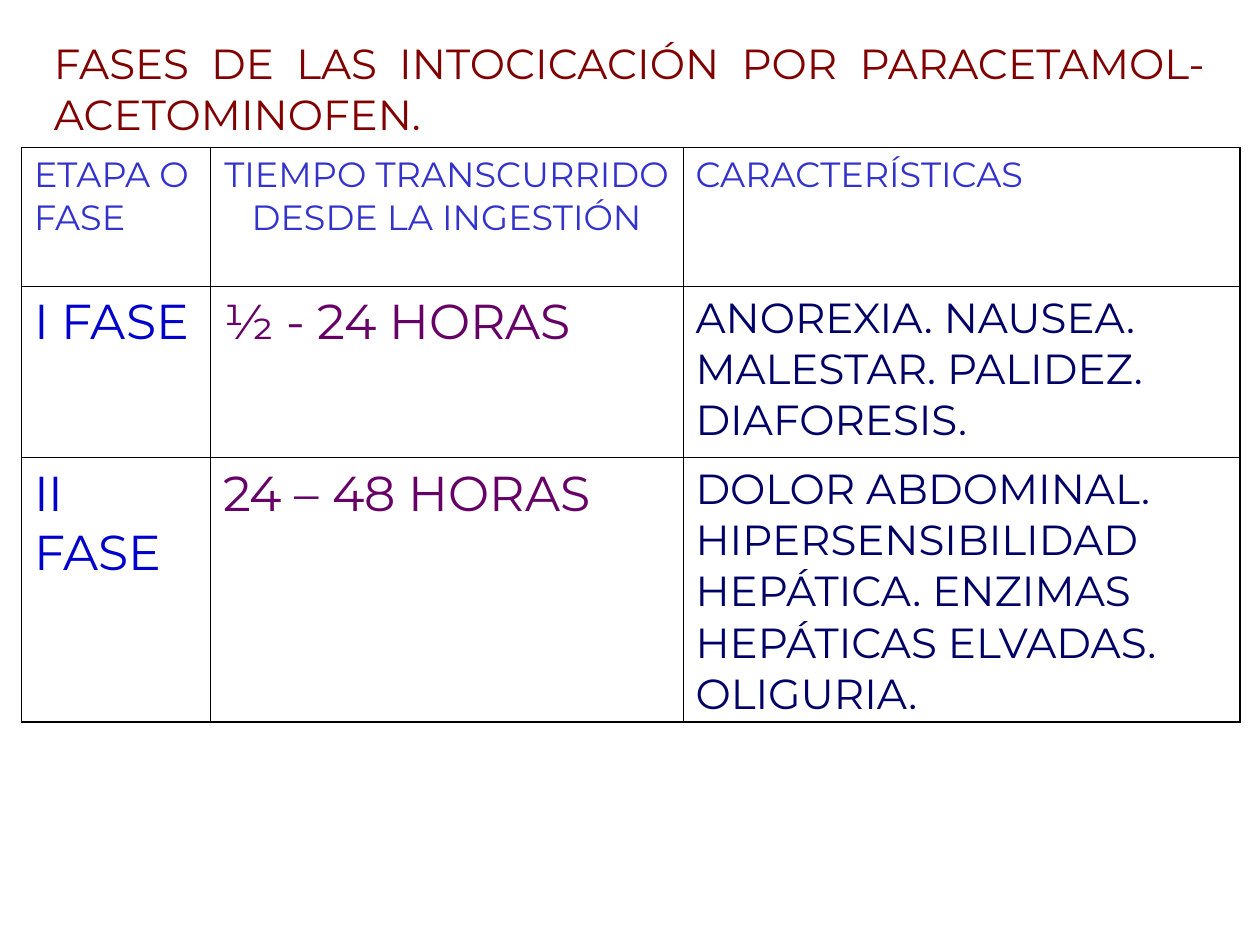
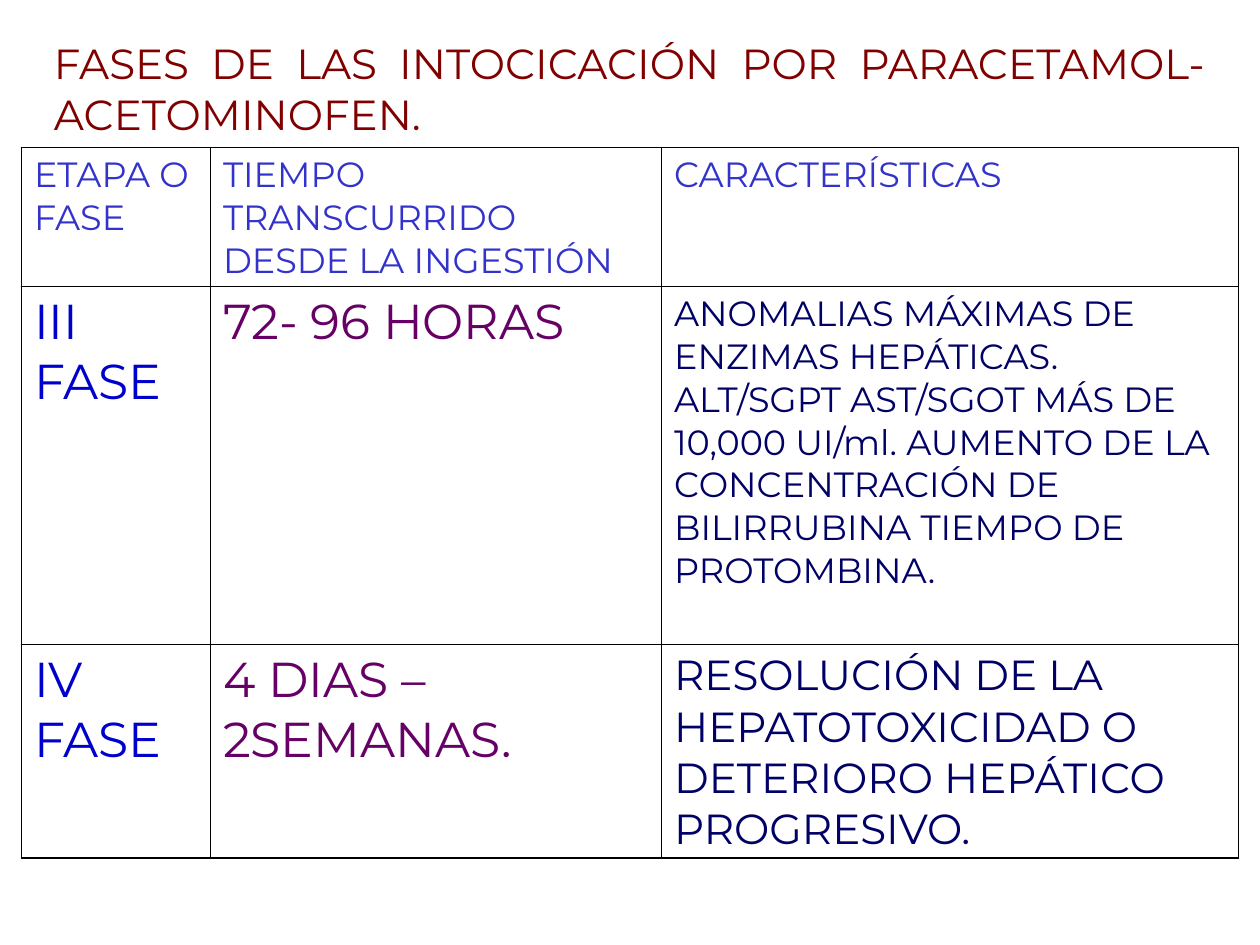
from lxml import etree
from pptx import Presentation
from pptx.dml.color import RGBColor
from pptx.enum.text import MSO_ANCHOR, PP_ALIGN
from pptx.oxml.ns import qn
from pptx.util import Inches, Pt

LEFT, CENTER, JUSTIFY = PP_ALIGN.LEFT, PP_ALIGN.CENTER, PP_ALIGN.JUSTIFY
TOP = MSO_ANCHOR.TOP

FONT = "Montserrat"
BLACK = "000000"
OUTER_WIDTH, INNER_WIDTH = 1.08, 0.45
TITLE_BOX = (0.33, 0.25, 9.33, 6.83)
TABLE_ORIGIN = (0.17, 1.17)
MARGINS = {
    "margin_left": Inches(0.1),
    "margin_right": Inches(0.1),
    "margin_top": Inches(0.05),
    "margin_bottom": Inches(0.05),
    "vertical_anchor": TOP,
}
TITLE_STYLE = {"size": 24, "color": "800000"}
HEADER_STYLE = {"size": 20, "color": "3333CC"}
COLUMN_STYLES = [
    {"size": 28, "color": "0000CC"},
    {"size": 28, "color": "660066"},
    {"size": 24, "color": "000066"},
]

TITLE = "FASES DE LAS INTOCICACIÓN POR PARACETAMOL- ACETOMINOFEN."
HEADERS = ["ETAPA O FASE", "TIEMPO TRANSCURRIDO DESDE LA INGESTIÓN", "CARACTERÍSTICAS"]
PHASE_SLIDES = [
    {
        "columns": [1.5, 3.75, 4.42],
        "heights": [1.1, 1.36, 2.1],
        "phases": [
            ["I FASE", "½ - 24 HORAS", "ANOREXIA. NAUSEA. MALESTAR. PALIDEZ. DIAFORESIS."],
            ["II FASE", "24 – 48 HORAS",
             "DOLOR ABDOMINAL. HIPERSENSIBILIDAD HEPÁTICA. ENZIMAS HEPÁTICAS ELVADAS. OLIGURIA."],
        ],
        "overrides": {(0, 1): {"align": CENTER}},
    },
    {
        "columns": [1.5, 3.58, 4.58],
        "heights": [1.08, 2.84, 1.7],
        "phases": [
            ["III FASE", "72- 96 HORAS",
             "ANOMALIAS MÁXIMAS DE ENZIMAS HEPÁTICAS. ALT/SGPT AST/SGOT MÁS DE 10,000 UI/ml. "
             "AUMENTO DE LA CONCENTRACIÓN DE BILIRRUBINA TIEMPO DE PROTOMBINA."],
            ["IV FASE", "4 DIAS –2SEMANAS.",
             "RESOLUCIÓN DE LA HEPATOTOXICIDAD O DETERIORO HEPÁTICO PROGRESIVO."],
        ],
        "overrides": {(1, 2): {"size": 20}},
    },
]


def rgb(value):
    return RGBColor.from_string(value)


def set_attributes(target, values):
    for name, value in values.items():
        setattr(target, name, value)


def write_text(text_frame, text, size, color, align=LEFT):
    paragraph = text_frame.paragraphs[0]
    paragraph.alignment = align
    run = paragraph.add_run()
    run.text = text
    set_attributes(run.font, {"name": FONT, "size": Pt(size), "bold": False})
    run.font.color.rgb = rgb(color)


def set_borders(cell, edges):
    properties = cell._tc.get_or_add_tcPr()
    for position, (side, is_outer) in enumerate(edges.items()):
        width = Pt(OUTER_WIDTH if is_outer else INNER_WIDTH)
        line = etree.Element(qn(f"a:ln{side}"), w=str(int(width)))
        fill = etree.SubElement(line, qn("a:solidFill"))
        etree.SubElement(fill, qn("a:srgbClr"), val=BLACK)
        properties.insert(position, line)


def add_title(slide, box):
    shape = slide.shapes.add_textbox(*map(Inches, box))
    set_attributes(shape.text_frame, {**MARGINS, "word_wrap": True})
    write_text(shape.text_frame, TITLE, align=JUSTIFY, **TITLE_STYLE)


def add_phase_table(slide, origin, columns, heights, phases, overrides):
    rows = [HEADERS, *phases]
    box = (*origin, sum(columns), sum(heights))
    table = slide.shapes.add_table(len(rows), len(columns), *map(Inches, box)).table
    set_attributes(table, {"first_row": False, "horz_banding": False})
    for column, width in zip(table.columns, columns):
        column.width = Inches(width)
    for row, height in zip(table.rows, heights):
        row.height = Inches(height)

    last_row, last_column = len(rows) - 1, len(columns) - 1
    for row_index, texts in enumerate(rows):
        for column_index, text in enumerate(texts):
            cell = table.cell(row_index, column_index)
            set_attributes(cell, MARGINS)
            cell.fill.background()
            style = COLUMN_STYLES[column_index] if row_index else HEADER_STYLE
            override = overrides.get((row_index, column_index), {})
            write_text(cell.text_frame, text, **{**style, **override})
            set_borders(cell, {
                "L": column_index == 0,
                "R": column_index == last_column,
                "T": row_index == 0,
                "B": row_index == last_row,
            })


def add_phase_slide(presentation, content):
    slide = presentation.slides.add_slide(presentation.slide_layouts[6])
    add_title(slide, TITLE_BOX)
    add_phase_table(slide, TABLE_ORIGIN, **content)


def main():
    presentation = Presentation()
    set_attributes(presentation, {"slide_width": Inches(10), "slide_height": Inches(7.5)})
    for content in PHASE_SLIDES:
        add_phase_slide(presentation, content)
    presentation.save("out.pptx")


if __name__ == "__main__":
    main()
